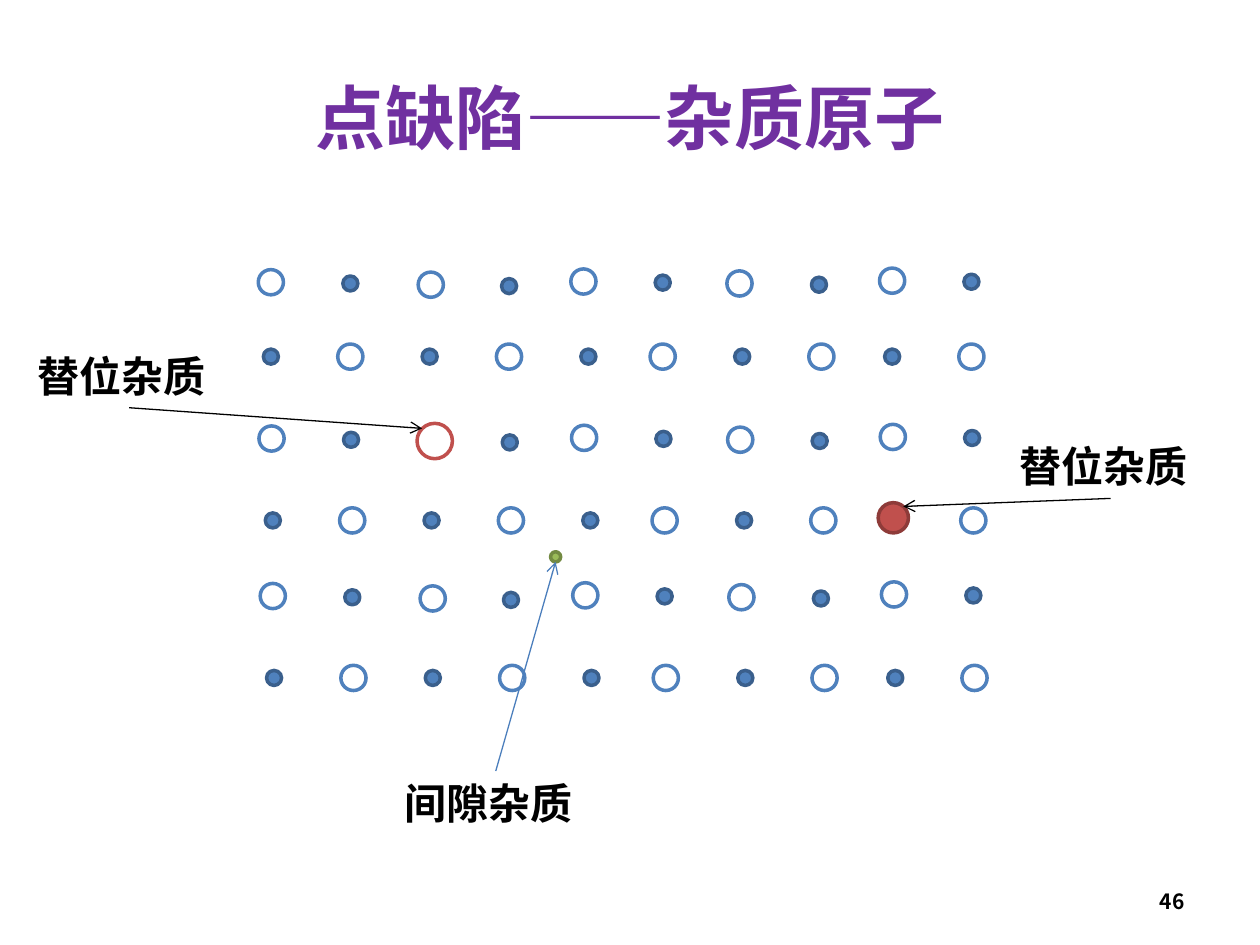
from lxml import etree
from pptx import Presentation
from pptx.dml.color import RGBColor
from pptx.enum.shapes import MSO_CONNECTOR, MSO_SHAPE
from pptx.enum.text import MSO_ANCHOR, MSO_AUTO_SIZE, PP_ALIGN
from pptx.oxml.ns import qn
from pptx.util import Pt

CIRCLE = MSO_SHAPE.FLOWCHART_CONNECTOR
STRAIGHT = MSO_CONNECTOR.STRAIGHT
MIDDLE = MSO_ANCHOR.MIDDLE
GROW = MSO_AUTO_SIZE.SHAPE_TO_FIT_TEXT
LEFT, CENTER, RIGHT = PP_ALIGN.LEFT, PP_ALIGN.CENTER, PP_ALIGN.RIGHT
TOP_SIDE, BOTTOM_SIDE = 0, 2
TITLE_ONLY = 5

# Atom kinds: diameter, fill, outline
LARGE_ATOM = (14.4, "FFFFFF", "4F81BD")
SMALL_ATOM = (8.6, "4F81BD", "3A5F8C")
LARGE_IMPURITY = (20.2, "FFFFFF", "C0504D")
SMALL_IMPURITY = (17.3, "C0504D", "8E3B39")
INTERSTITIAL = (5.8, "9BBB59", "738A42")


def color(value):
    return RGBColor.from_string(value)


class LatticeSlide:
    font_name = "Noto Sans CJK SC"

    def __init__(self, deck):
        self.slide = deck.slides.add_slide(deck.slide_layouts[TITLE_ONLY])
        self.shapes = self.slide.shapes

    def add_wording(self, frame, text, size, ink, align):
        paragraph = frame.paragraphs[0]
        paragraph.alignment = align
        run = paragraph.add_run()
        run.text = text
        style = {"name": self.font_name, "size": Pt(size), "bold": True}
        for key, value in style.items():
            setattr(run.font, key, value)
        run.font.color.rgb = color(ink)
        # East Asian typeface for the Chinese wording
        east_asian = etree.SubElement(run._r.get_or_add_rPr(), qn("a:ea"))
        east_asian.set("typeface", self.font_name)

    def title(self, text, box):
        heading = self.shapes.title
        for key, value in zip(("left", "top", "width", "height"), box):
            setattr(heading, key, Pt(value))
        heading.text_frame.vertical_anchor = MIDDLE
        self.add_wording(heading.text_frame, text, 40, "7030A0", CENTER)

    def text(self, text, box, size, align=LEFT, **frame_format):
        label = self.shapes.add_textbox(*map(Pt, box))
        for key, value in {"word_wrap": True, **frame_format}.items():
            setattr(label.text_frame, key, value)
        self.add_wording(label.text_frame, text, size, "000000", align)
        return label

    def atom(self, kind, x, y):
        diameter, fill, outline = kind
        corner = (x - diameter / 2, y - diameter / 2)
        circle = self.shapes.add_shape(CIRCLE, *map(Pt, corner), Pt(diameter), Pt(diameter))
        circle.shadow.inherit = False
        circle.fill.solid()
        circle.fill.fore_color.rgb = color(fill)
        circle.line.color.rgb = color(outline)
        circle.line.width = Pt(2)

    def arrow(self, label, side, tip, ink):
        pointer = self.shapes.add_connector(STRAIGHT, 0, 0, *map(Pt, tip))
        pointer.begin_connect(label, side)
        pointer.line.color.rgb = color(ink)
        pointer.line.width = Pt(0.75)
        head = etree.SubElement(pointer.line._get_or_add_ln(), qn("a:tailEnd"))
        head.set("type", "arrow")
        etree.SubElement(pointer._element.spPr, qn("a:effectLst"))


def main():
    deck = Presentation()
    deck.slide_width, deck.slide_height = Pt(720), Pt(540)
    page = LatticeSlide(deck)

    page.title("点缺陷——杂质原子", (36, 21.6, 648, 90))
    page.text("46", (516.2, 500.4, 167.8, 28.8), 12, RIGHT, vertical_anchor=MIDDLE)

    # Crystal lattice: two alternating row patterns of (column x, y offset)
    even_x = (154.8, 200.2, 246.2, 290.9, 333.4, 378.7, 422.6, 468, 509.8, 555.1)
    even_dy = (0, 0.7, 1.4, 2.2, -0.4, 0.2, 0.7, 1.4, -0.9, -0.3)
    odd_x = (154.8, 200.2, 245.5, 290.9, 336.2, 378.7, 424.1, 469.4, 509.8, 555.1)
    patterns = (list(zip(even_x, even_dy)), [(x, 0) for x in odd_x])
    rows = ((161.3, 0), (203.8, 0), (250.6, 0.4), (297.4, 1.1), (340.6, 1.1), (387.4, 1.8))

    # Impurities that take the place of a lattice atom, by (row, column)
    substitutes = {
        (2, 2): (LARGE_IMPURITY, 248.4, 252),
        (3, 8): (SMALL_IMPURITY, 510.5, 295.9),
    }
    for row, (row_y, shift) in enumerate(rows):
        for column, (x, dy) in enumerate(patterns[row % 2]):
            kind = SMALL_ATOM if (row + column) % 2 else LARGE_ATOM
            site = (kind, x + shift, row_y + dy)
            page.atom(*substitutes.get((row, column), site))
    page.atom(INTERSTITIAL, 317.5, 318.2)

    # Impurity labels: wording, corner, side the arrow leaves, arrow tip, colour
    callouts = (
        ("替位杂质", (14.4, 196.6), BOTTOM_SIDE, (241.2, 244.8), "000000"),
        ("替位杂质", (575.3, 248.4), BOTTOM_SIDE, (516.2, 289.4), "000000"),
        ("间隙杂质", (223.9, 440.6), TOP_SIDE, (317.5, 321.1), "4B7EBC"),
    )
    for wording, corner, side, tip, ink in callouts:
        label = page.text(wording, (*corner, 118.8, 36.4), 24, auto_size=GROW)
        page.arrow(label, side, tip, ink)

    deck.save("out.pptx")


if __name__ == "__main__":
    main()
